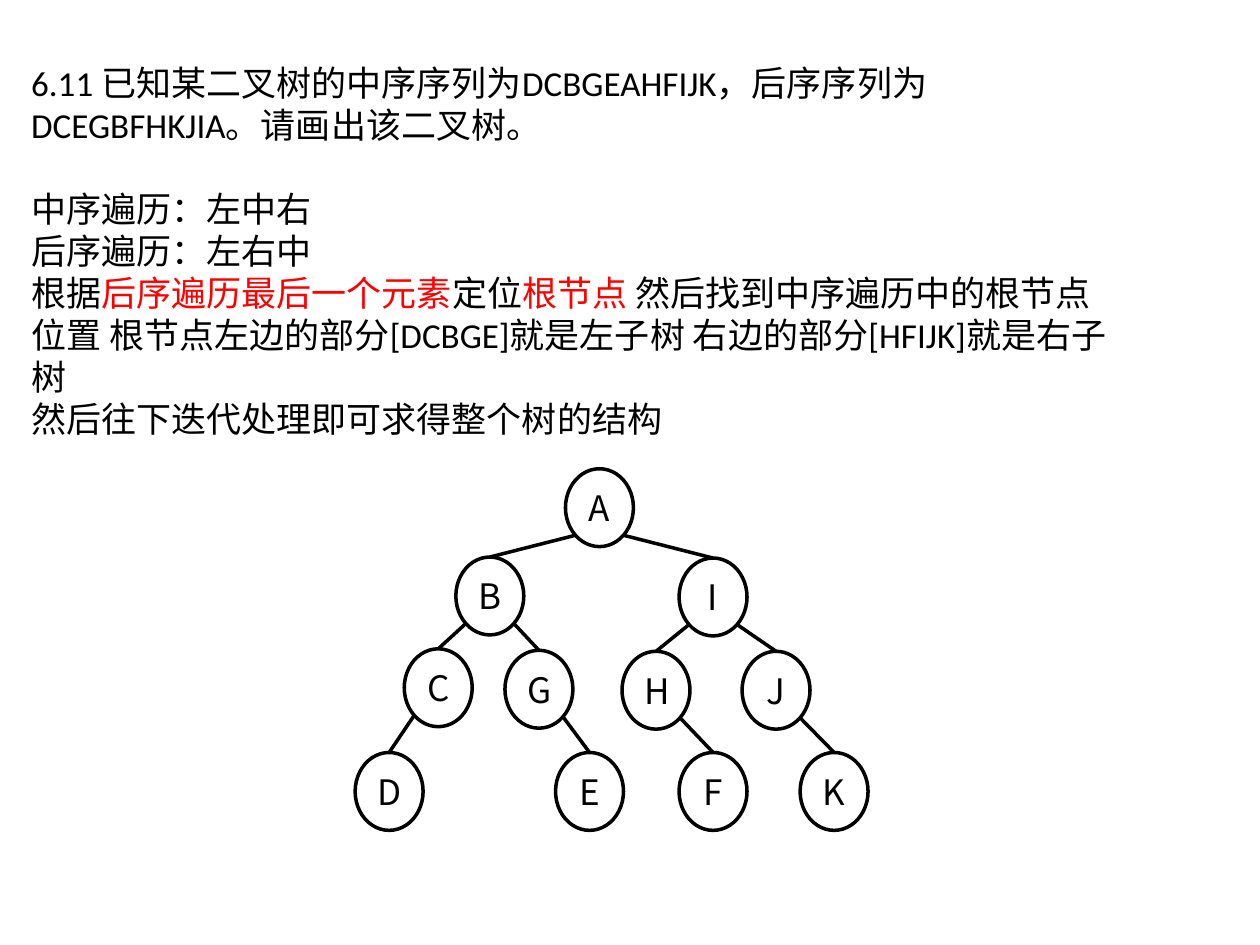
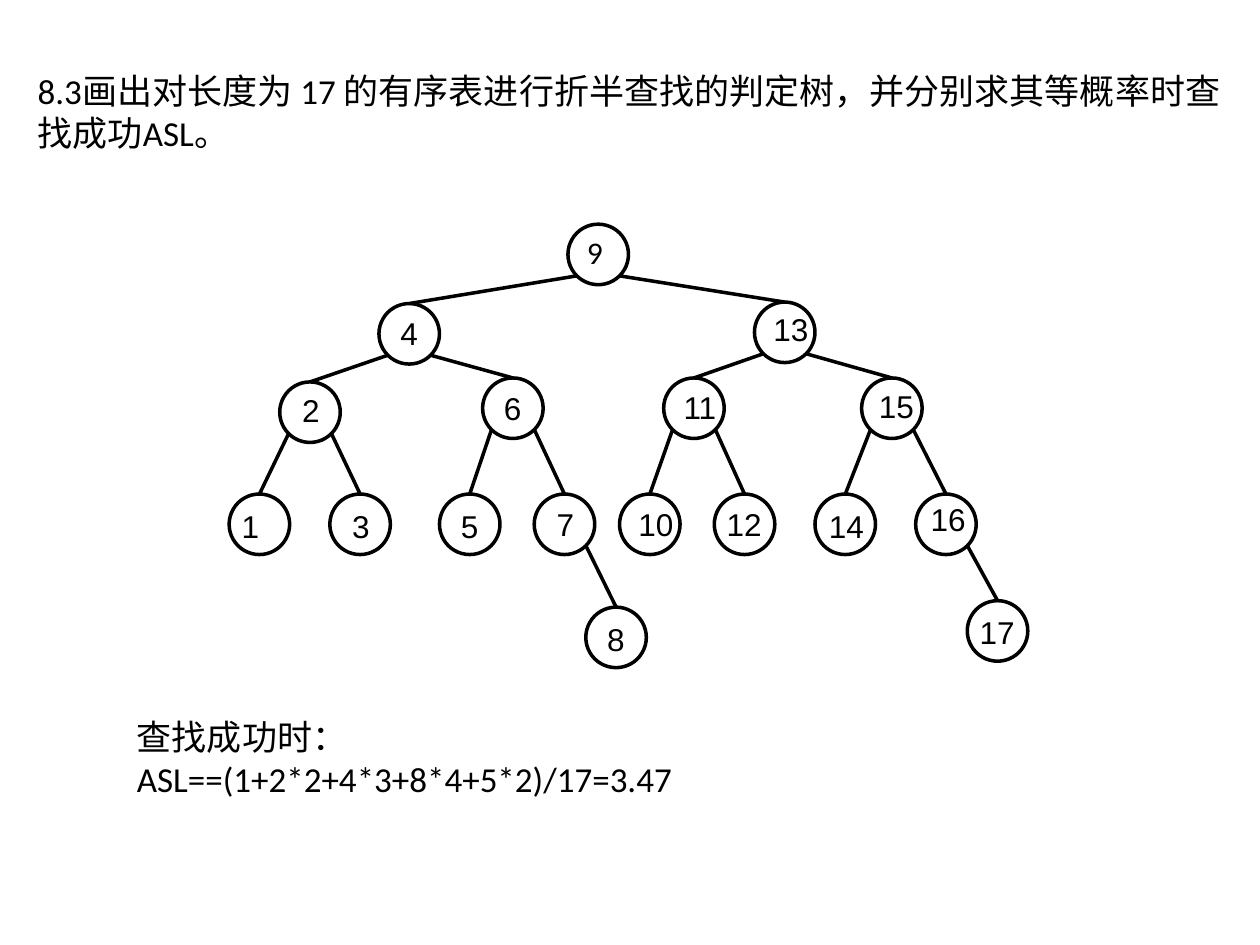
from dataclasses import dataclass
from math import sqrt

from lxml import etree
from pptx import Presentation
from pptx.dml.color import RGBColor
from pptx.enum.shapes import MSO_CONNECTOR, MSO_SHAPE
from pptx.enum.text import MSO_ANCHOR, PP_ALIGN
from pptx.oxml.ns import qn
from pptx.util import Cm, Pt

BLACK = RGBColor(0x00, 0x00, 0x00)
WHITE = RGBColor(0xFF, 0xFF, 0xFF)
RED = RGBColor(0xFF, 0x00, 0x00)
BODY_FONT = "Calibri"
LETTER_FONT = "Noto Sans CJK SC"
NUMBER_FONT = "Arial"
BODY_SIZE = Pt(20)
NUMBER_SIZE = Pt(18)
STROKE = Pt(2)
LABEL_HEIGHT = 1.09
OVAL = MSO_SHAPE.OVAL
STRAIGHT = MSO_CONNECTOR.STRAIGHT
CENTER = PP_ALIGN.CENTER
MIDDLE = MSO_ANCHOR.MIDDLE


@dataclass
class Node:
    parent: str
    left: float
    top: float
    label_box: tuple = ()


LETTER_TREE = {
    "A": Node("", 4.24, 0),
    "B": Node("A", 2.03, 1.78),
    "I": Node("A", 6.53, 1.8),
    "C": Node("B", 0.99, 3.63),
    "G": Node("B", 3.02, 3.66),
    "H": Node("I", 5.38, 3.68),
    "J": Node("I", 7.8, 3.68),
    "D": Node("C", 0, 5.72),
    "E": Node("G", 4.04, 5.72),
    "F": Node("H", 6.53, 5.72),
    "K": Node("J", 8.97, 5.72),
}

SEARCH_TREE = {
    "9": Node("", 6.83, 0, (0.13, 0.05, 1.04)),
    "4": Node("9", 3.02, 1.6, (0.18, 0.08, 1.04)),
    "13": Node("9", 10.59, 1.57, (0.13, 0.03, 1.22)),
    "2": Node("4", 1.02, 3.18, (0.2, 0.05, 1.22)),
    "6": Node("4", 5.11, 3.1, (0.18, 0.1, 1.22)),
    "11": Node("13", 8.76, 3.1, (0.15, 0.08, 1.35)),
    "15": Node("13", 12.75, 3.1, (0.1, 0.05, 1.22)),
    "1": Node("2", 0, 5.44, (0, 0.13, 1.22)),
    "3": Node("2", 2.03, 5.44, (0.2, 0.13, 1.22)),
    "5": Node("6", 4.24, 5.44, (0.18, 0.13, 1.22)),
    "7": Node("6", 6.15, 5.44, (0.2, 0.1, 1.22)),
    "10": Node("11", 7.87, 5.44, (0.13, 0.1, 1.35)),
    "12": Node("11", 9.78, 5.44, (0, 0.1, 1.35)),
    "14": Node("15", 11.81, 5.44, (0.03, 0.13, 1.35)),
    "16": Node("15", 13.84, 5.44, (0.05, 0, 1.6)),
    "8": Node("7", 7.19, 7.72, (0.18, 0.13, 1.22)),
    "17": Node("16", 14.88, 7.59, (0, 0.13, 1.35)),
}

TRAVERSAL_TEXT = [
    [("6.11 已知某二叉树的中序序列为DCBGEAHFIJK，后序序列为DCEGBFHKJIA。请画出该二叉树。", BLACK)],
    [("中序遍历：左中右", BLACK)],
    [("后序遍历：左右中", BLACK)],
    [
        ("根据", BLACK),
        ("后序遍历最后一个元素", RED),
        ("定位", BLACK),
        ("根节点 ", RED),
        ("然后找到中序遍历中的根节点位置 根节点左边的部分[DCBGE]就是左子树 "
         "右边的部分[HFIJK]就是右子树", BLACK),
    ],
    [("然后往下迭代处理即可求得整个树的结构", BLACK)],
]


def style_font(paragraph, name, size):
    paragraph.font.name = name
    paragraph.font.size = size
    paragraph.font.color.rgb = BLACK


def add_text(slide, box, paragraphs, name=BODY_FONT, size=BODY_SIZE):
    frame = slide.shapes.add_textbox(*map(Cm, box)).text_frame
    frame.word_wrap = True
    for index, runs in enumerate(paragraphs):
        paragraph = frame.add_paragraph() if index else frame.paragraphs[0]
        style_font(paragraph, name, size)
        for text, color in runs:
            run = paragraph.add_run()
            run.text = text
            if color != BLACK:
                run.font.color.rgb = color
    return frame


def add_circle(slide, left, top, size):
    circle = slide.shapes.add_shape(OVAL, Cm(left), Cm(top), *map(Cm, size))
    circle.shadow.inherit = False
    circle.fill.solid()
    circle.fill.fore_color.rgb = WHITE
    circle.line.color.rgb = BLACK
    circle.line.width = STROKE
    return circle


def add_edge(slide, origin, parent, child, size):
    width, height = size
    side = 1 if child.left > parent.left else -1
    start_x = origin[0] + parent.left + width / 2 * (1 + side / sqrt(2))
    start_y = origin[1] + parent.top + height / 2 * (1 + 1 / sqrt(2))
    end_x = origin[0] + child.left + width / 2
    end_y = origin[1] + child.top
    edge = slide.shapes.add_connector(
        STRAIGHT, Cm(start_x), Cm(start_y), Cm(end_x), Cm(end_y))
    edge.line.color.rgb = BLACK
    edge.line.width = STROKE
    etree.SubElement(edge._element.spPr, qn("a:effectLst"))


def label_inside(circle, label):
    frame = circle.text_frame
    frame.vertical_anchor = MIDDLE
    paragraph = frame.paragraphs[0]
    paragraph.text = label
    paragraph.alignment = CENTER
    style_font(paragraph, LETTER_FONT, BODY_SIZE)


def label_over(slide, left, top, label, node):
    offset_x, offset_y, width = node.label_box
    name = NUMBER_FONT if node.parent else BODY_FONT
    box = (left + offset_x, top + offset_y, width, LABEL_HEIGHT)
    frame = add_text(slide, box, [[(label, BLACK)]], name, NUMBER_SIZE)
    frame.margin_right = 0


def add_tree(slide, origin, tree, size):
    for label, node in tree.items():
        left, top = origin[0] + node.left, origin[1] + node.top
        circle = add_circle(slide, left, top, size)
        if node.label_box:
            label_over(slide, left, top, label, node)
        else:
            label_inside(circle, label)
    for node in tree.values():
        if node.parent:
            add_edge(slide, origin, tree[node.parent], node, size)


def build_traversal_slide(slide):
    frame = add_text(slide, (0.38, 1.12, 22.4, 8.74), TRAVERSAL_TEXT)
    frame.paragraphs[0].space_after = Pt(24)
    add_tree(slide, (7.16, 9.45), LETTER_TREE, (1.37, 1.57))


def build_search_slide(slide):
    question = "8.3画出对长度为 17 的有序表进行折半查找的判定树，并分别求其等概率时查找成功ASL。"
    answer = "查找成功时：\vASL==(1+2*2+4*3+8*4+5*2)/17=3.47"
    add_text(slide, (0.51, 1.27, 24.89, 1.96), [[(question, BLACK)]])
    add_tree(slide, (4.62, 4.52), SEARCH_TREE, (1.22, 1.22))
    frame = add_text(slide, (2.51, 14.3, 12.7, 1.96), [[]])
    frame.paragraphs[0].text = answer


def main():
    presentation = Presentation()
    presentation.slide_width = Cm(25.4)
    presentation.slide_height = Cm(19.05)
    blank = presentation.slide_layouts[6]
    for build in (build_traversal_slide, build_search_slide):
        build(presentation.slides.add_slide(blank))
    presentation.save("out.pptx")


if __name__ == "__main__":
    main()
